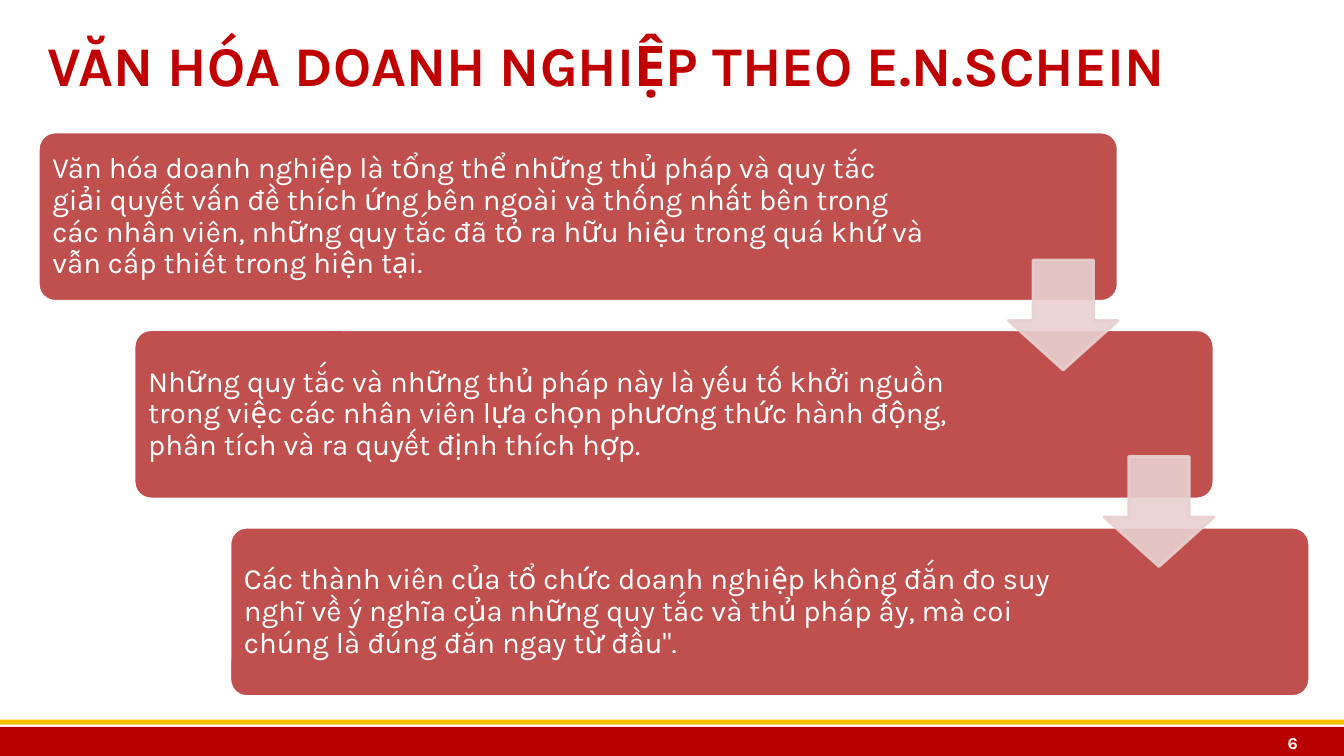
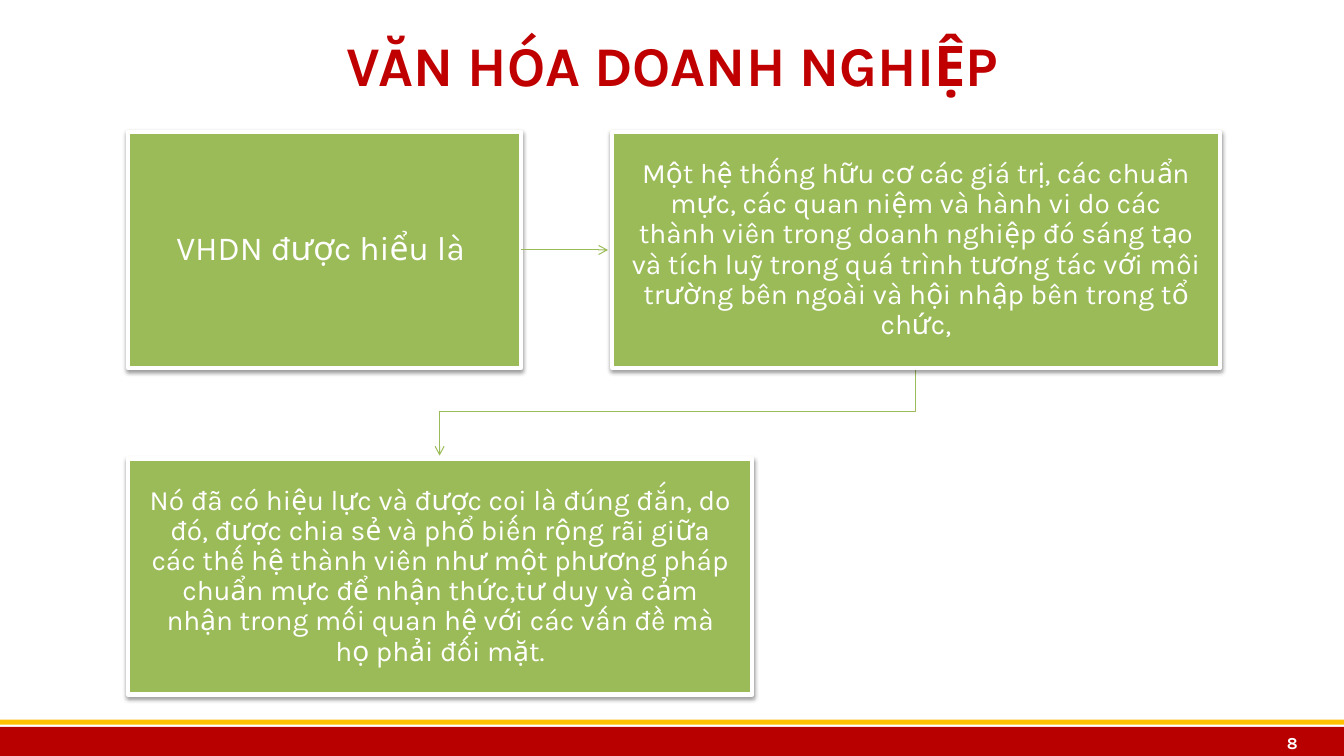
from lxml import etree
from pptx import Presentation
from pptx.dml.color import RGBColor
from pptx.enum.shapes import MSO_CONNECTOR, MSO_SHAPE
from pptx.enum.text import MSO_ANCHOR, PP_ALIGN
from pptx.oxml.ns import qn
from pptx.util import Pt

PX = 9144
WIDE, HIGH = 1333, 750
FONT = "Karla"

RECT = MSO_SHAPE.RECTANGLE
ROUND = MSO_SHAPE.ROUNDED_RECTANGLE
DOWN = MSO_SHAPE.DOWN_ARROW
STRAIGHT, ELBOW = MSO_CONNECTOR.STRAIGHT, MSO_CONNECTOR.ELBOW
LEFT, MID, RIGHT = PP_ALIGN.LEFT, PP_ALIGN.CENTER, PP_ALIGN.RIGHT

HUES = {
    "white": "FFFFFF",
    "band": "B80000",
    "gold": "FFC000",
    "title": "C00000",
    "card": "C0504D",
    "arrow": "E8D0D0",
    "box": "9BBB59",
    "shade": "000000",
}

CARDS = [
    ("Văn hóa doanh nghiệp là tổng thể những thủ pháp và quy tắc giải quyết "
     "vấn đề thích ứng bên ngoài và thống nhất bên trong các nhân viên, những "
     "quy tắc đã tỏ ra hữu hiệu trong quá khứ và vẫn cấp thiết trong hiện tại.",
     180),
    ("Những quy tắc và những thủ pháp này là yếu tố khởi nguồn trong việc các "
     "nhân viên lựa chọn phương thức hành động, phân tích và ra quyết định "
     "thích hợp.", 212),
    ("Các thành viên của tổ chức doanh nghiệp không đắn đo suy nghĩ về ý nghĩa "
     "của những quy tắc và thủ pháp ấy, mà coi chúng là đúng đắn ngay từ đầu\".",
     212),
]

LEAD = "VHDN được hiểu là "
SYSTEM = (
    "Một hệ thống hữu cơ các giá trị, các chuẩn mực, các quan niệm và hành vi "
    "do các thành viên trong doanh nghiệp đó sáng tạo và tích luỹ trong quá "
    "trình tương tác với môi trường bên ngoài và hội nhập bên trong tổ chức,")
EFFECT = (
    "Nó đã có hiệu lực và được coi là đúng đắn, do đó, được chia sẻ và phổ biến "
    "rộng rãi giữa các thế hệ thành viên như một phương pháp chuẩn mực để nhận "
    "thức,tư duy và cảm nhận trong mối quan hệ với các vấn đề mà họ phải đối mặt.")


def px(*nums):
    return [round(num * PX) for num in nums]


def rgb(hue):
    return RGBColor.from_string(HUES[hue])


def put(item, **vals):
    for name, val in vals.items():
        setattr(item, name, val)


def node(base, tag, **attrs):
    child = etree.SubElement(base, qn(tag))
    for name, val in attrs.items():
        child.set(name, str(val))
    return child


def fade(shape, part):
    for hue in shape.element.spPr.iter(qn("a:srgbClr")):
        node(hue, "a:alpha", val=part * 1000)


def write(shape, text, size, hue="white", bold=False, align=LEFT,
          pads=(10, 5, 10, 5), lines=1.0):
    frame = shape.text_frame
    left, top, right, low = px(*pads)
    put(frame, word_wrap=True, vertical_anchor=MSO_ANCHOR.MIDDLE,
        margin_left=left, margin_top=top, margin_right=right,
        margin_bottom=low)
    para = frame.paragraphs[0]
    put(para, alignment=align, line_spacing=lines)
    run = para.add_run()
    run.text = text
    put(run.font, name=FONT, size=Pt(size), bold=bold)
    run.font.color.rgb = rgb(hue)


def label(slide, at, text, size, **style):
    write(slide.shapes.add_textbox(*px(*at)), text, size, **style)


def block(slide, kind, at, fill, line=None, width=0, adjust=()):
    shape = slide.shapes.add_shape(kind, *px(*at))
    shape.shadow.inherit = False
    for num, val in enumerate(adjust):
        shape.adjustments[num] = val
    shape.fill.solid()
    shape.fill.fore_color.rgb = rgb(fill)
    if line:
        shape.line.color.rgb = rgb(line)
        shape.line.width = Pt(width)
    else:
        shape.line.fill.background()
    return shape


def box(slide, at, text, size):
    shape = block(slide, RECT, at, "box", "white", 3)
    glow = shape.element.spPr.find(qn("a:effectLst"))
    cast = node(glow, "a:outerShdw", blurRad=Pt(3.1), dist=Pt(1.6),
                dir=5400000, rotWithShape=0)
    hue = node(cast, "a:srgbClr", val=HUES["shade"])
    node(hue, "a:alpha", val=38000)
    write(shape, text, size, align=MID, pads=(19, 20, 19, 20), lines=0.9)
    return shape


def link(slide, kind, ends):
    wire = slide.shapes.add_connector(kind, *px(*ends))
    wire.line.color.rgb = rgb("box")
    wire.line.width = Pt(0.75)
    props = wire.element.spPr
    node(props.find(qn("a:ln")), "a:tailEnd", type="arrow")
    node(props, "a:effectLst")
    return wire


def drop(slide, start, end):
    (x1, y1), (x2, y2) = start, end
    mid_x, mid_y = (x1 + x2) / 2, (y1 + y2) / 2
    run, fall = (x1 - x2) / 2, (y2 - y1) / 2
    wire = link(slide, ELBOW, (mid_x - fall, mid_y - run,
                               mid_x + fall, mid_y + run))
    wire.element.spPr.find(qn("a:xfrm")).set("rot", "5400000")


def base(deck, title, page, align=LEFT):
    slide = deck.slides.add_slide(deck.slide_layouts[6])
    block(slide, RECT, (0, 721, WIDE, 31), "band")
    block(slide, RECT, (-1, 714, WIDE + 3, 5), "gold")
    label(slide, (37, 5, 1260, 118), title, 40, hue="title", bold=True,
          align=align)
    label(slide, (1210, 721, 87, 31), page, 12, bold=True, align=RIGHT,
          pads=(10, 0, 10, 0))
    return slide


def steps(deck):
    slide = base(deck, "VĂN HÓA DOANH NGHIỆP THEO E.N.SCHEIN", "6")
    for num, (text, pad) in enumerate(CARDS):
        card = block(slide, ROUND, (38 + 95 * num, 131 + 196 * num, 1071, 168),
                     "card", "white", 2, (0.1,))
        write(card, text, 21, pads=(9, 9, pad, 9), lines=0.9)
    for num in range(len(CARDS) - 1):
        arrow = block(slide, DOWN,
                      (1000 + 95 * num, 258 + 195 * num, 109, 109),
                      "arrow", "arrow", 2, (0.55, 0.45))
        fade(arrow, 90)


def flow(deck):
    slide = base(deck, "VĂN HÓA DOANH NGHIỆP", "8", MID)
    lead = box(slide, (127, 131, 390, 234), LEAD, 24)
    link(slide, STRAIGHT, (517, 248, 603, 248)).begin_connect(lead, 3)
    drop(slide, (908, 365), (436, 452))
    box(slide, (607, 131, 603, 234), SYSTEM, 20)
    box(slide, (127, 455, 619, 234), EFFECT, 20)


def main():
    deck = Presentation()
    deck.slide_width, deck.slide_height = px(WIDE, HIGH)
    steps(deck)
    flow(deck)
    deck.save("out.pptx")


if __name__ == "__main__":
    main()
